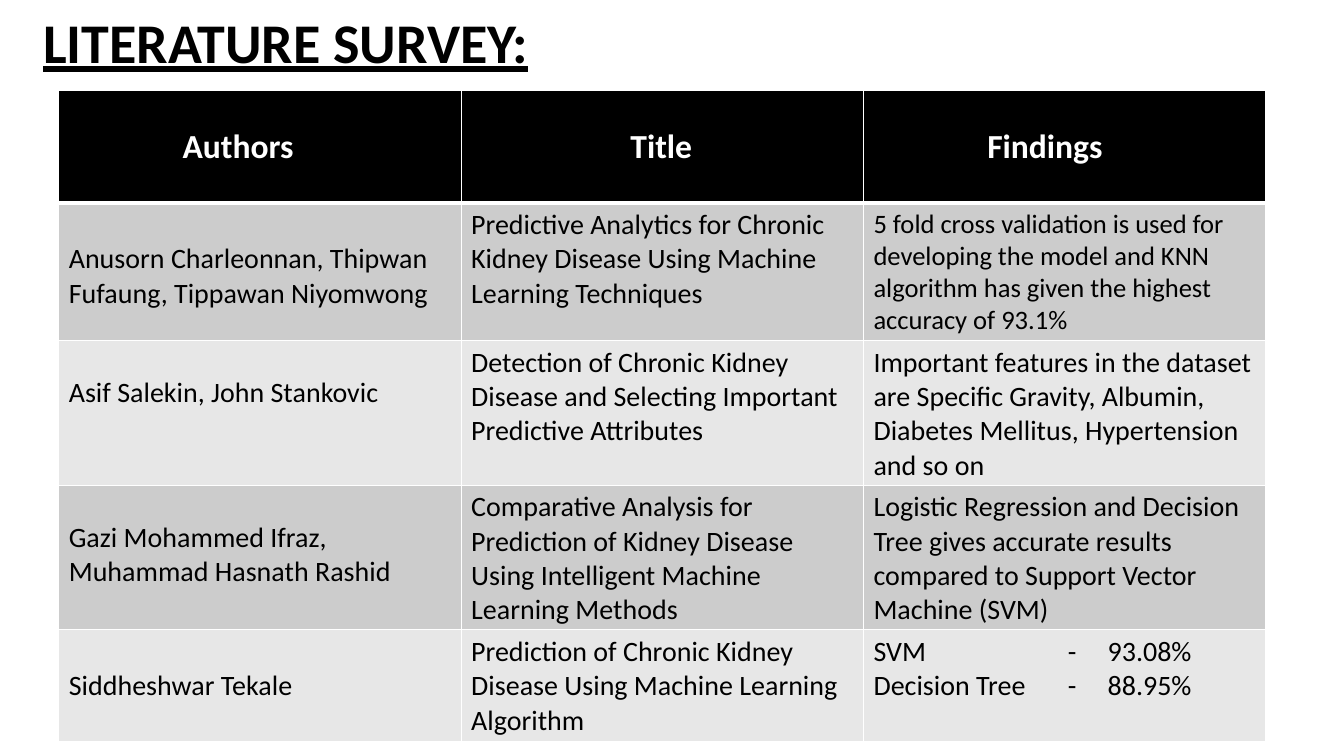
import pptx
import pptx.util
import pptx.dml.color
import pptx.enum.text
import pptx.oxml
import pptx.oxml.ns
import lxml.etree

Cm = pptx.util.Cm
Pt = pptx.util.Pt
RGBColor = pptx.dml.color.RGBColor

BLACK = RGBColor(0, 0, 0)
WHITE = RGBColor(255, 255, 255)
DARK = RGBColor(0xCC, 0xCC, 0xCC)
LIGHT = RGBColor(0xE7, 0xE7, 0xE7)
FONT = "Calibri"

ROWS = [
    ["Authors", "Title", "Findings"],
    ["Anusorn Charleonnan, Thipwan Fufaung, Tippawan Niyomwong",
     "Predictive Analytics for Chronic Kidney Disease Using Machine Learning Techniques",
     "5 fold cross validation is used for developing the model and KNN "
     "algorithm has given the highest accuracy of 93.1%"],
    ["Asif Salekin, John Stankovic",
     "Detection of Chronic Kidney Disease and Selecting Important Predictive Attributes",
     "Important features in the dataset are Specific Gravity, Albumin, "
     "Diabetes Mellitus, Hypertension and so on"],
    ["Gazi Mohammed Ifraz, Muhammad Hasnath Rashid",
     "Comparative Analysis for Prediction of Kidney Disease Using "
     "Intelligent Machine Learning Methods",
     "Logistic Regression and Decision Tree gives accurate results "
     "compared to Support Vector Machine (SVM)"],
    ["Siddheshwar Tekale",
     "Prediction of Chronic Kidney Disease Using Machine Learning Algorithm",
     "SVM\t-\t93.08%\nDecision Tree\t-\t88.95%"],
]
HEIGHTS = [2.82, 3.18, 2.82, 2.82, 2.82]
TOPS = [0.9, 0.99, 0.9, 0.9, 0.99]
INDENTS = [3.12, 4.27, 3.12]
TABS = [4.9, 5.9]


def add_edge(cell, side, width):
    props = cell._tc.get_or_add_tcPr()
    props.append(pptx.oxml.parse_xml(
        f'<a:ln{side} {pptx.oxml.ns.nsdecls("a")} w="{Pt(width)}">'
        f'<a:solidFill><a:srgbClr val="{WHITE}"/></a:solidFill></a:ln{side}>'))


def set_font(par, size, color, bold):
    for run in par.runs:
        font = run.font
        font.name = FONT
        font.size = Pt(size)
        font.color.rgb = color
        font.bold = bold


deck = pptx.Presentation()
deck.slide_width = Cm(33.87)
deck.slide_height = Cm(19.05)
slide = deck.slides.add_slide(deck.slide_layouts[6])

title = slide.shapes.add_textbox(Cm(0.84), Cm(0), Cm(29.21), Cm(2.29))
frame = title.text_frame
frame.word_wrap = True
frame.vertical_anchor = pptx.enum.text.MSO_ANCHOR.MIDDLE
frame.text = "LITERATURE SURVEY:"
head = frame.paragraphs[0]
head.line_spacing = 0.9
set_font(head, 40, BLACK, True)
head.runs[0].font.underline = True

table = slide.shapes.add_table(
    len(ROWS), 3, Cm(1.48), Cm(2.29), Cm(30.42), Cm(16.41)).table
for col in table.columns:
    col.width = Cm(10.14)

for r, texts in enumerate(ROWS):
    table.rows[r].height = Cm(HEIGHTS[r])
    for c, text in enumerate(texts):
        cell = table.cell(r, c)
        for side in "LRTB":
            thick = (r, side) in [(0, "B"), (1, "T")]
            add_edge(cell, side, 3 if thick else 1)
        cell.fill.solid()
        cell.fill.fore_color.rgb = BLACK if r == 0 else DARK if r % 2 else LIGHT
        if r == 0:
            cell.margin_left = Cm(INDENTS[c])
        if r == 0 or c == 0:
            cell.margin_top = Cm(TOPS[r])
        cell.text_frame.text = text
        size = 24 if r == 0 else 19 if (r, c) == (1, 2) else 20
        for par in cell.text_frame.paragraphs:
            if "\t" in text:
                props = par._p.get_or_add_pPr()
                stops = lxml.etree.SubElement(props, pptx.oxml.ns.qn("a:tabLst"))
                for pos in TABS:
                    lxml.etree.SubElement(stops, pptx.oxml.ns.qn("a:tab"),
                                          pos=str(Cm(pos)), algn="l")
            set_font(par, size, BLACK if r else WHITE, r == 0)

deck.save("out.pptx")
